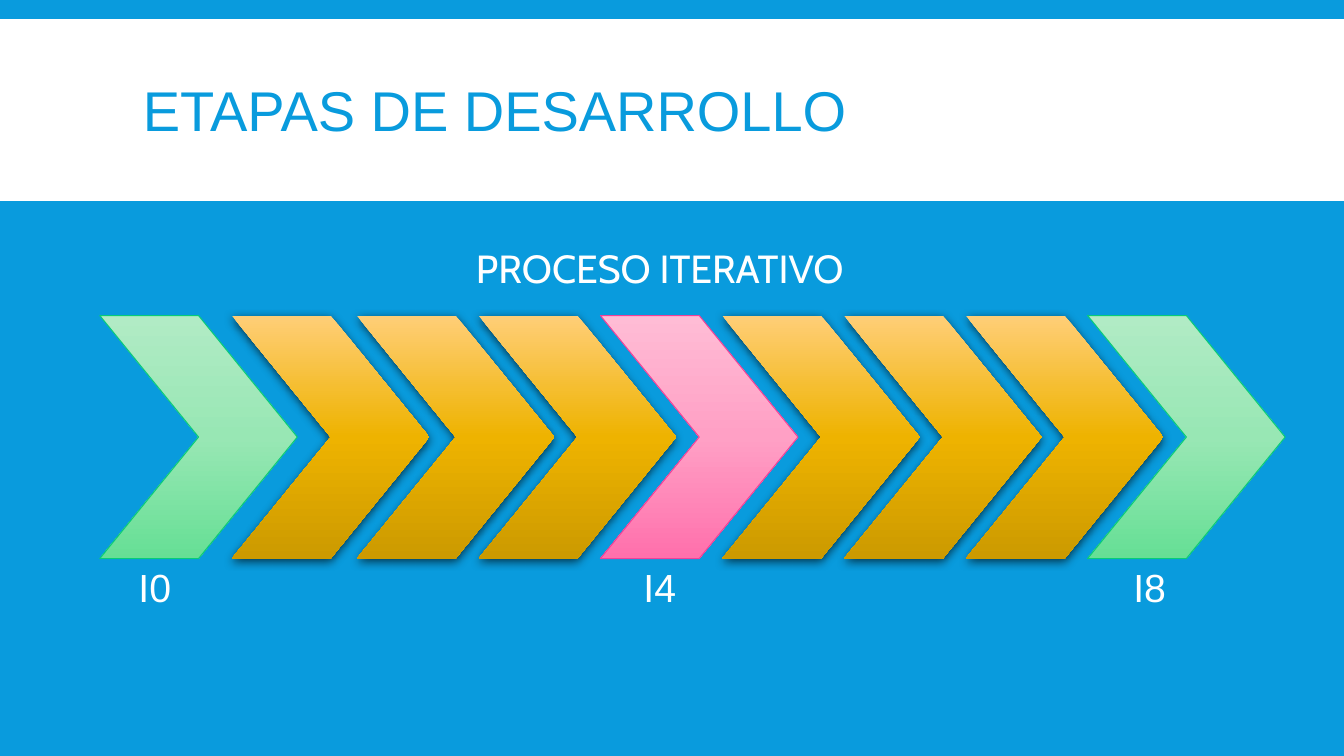
from dataclasses import dataclass

from lxml import etree
from pptx import Presentation
from pptx.dml.color import RGBColor
from pptx.enum import shapes, text
from pptx.oxml import ns
from pptx.util import Pt


@dataclass(frozen=True)
class Theme:
    """Colours, fonts and type sizes of the slide."""
    blue: str = "099BDD"
    white: str = "FFFFFF"
    shadow: str = "000000"
    green: tuple = ("B1EBC5", "98E7B4", "66DF95")
    green_line: str = "08CC78"
    amber: tuple = ("FFCE77", "EEB300", "CC9A00")
    pink: tuple = ("FFBCD5", "FFA0C5", "FF70AC")
    pink_line: str = "F24099"
    sans: str = "Arial"
    display: str = "Cabin"
    title_size: int = 40
    label_size: int = 28


T = Theme()


def add_xml(parent, tag, **attrs):
    """Append a DrawingML element to its parent and return it."""
    el = etree.SubElement(parent, ns.qn(tag))
    for name, value in attrs.items():
        el.set(name, str(value))
    return el


def add_text(s, words, box, *, size=T.label_size, font=T.sans, color=T.white,
             align=text.PP_ALIGN.CENTER, anchor=text.MSO_ANCHOR.TOP, spacing=None):
    """Add one paragraph of text in the given box."""
    tf = s.shapes.add_textbox(*map(Pt, box)).text_frame
    tf.word_wrap = True
    tf.vertical_anchor = anchor
    p = tf.paragraphs[0]
    p.alignment = align
    p.line_spacing = spacing
    r = p.add_run()
    r.text = words
    r.font.size = Pt(size)
    r.font.name = font
    r.font.color.rgb = RGBColor.from_string(color)


def add_chevron(s, box, stops, line=None):
    """Add a vertical gradient chevron, outlined or else shadowed."""
    sp = s.shapes.add_shape(shapes.MSO_SHAPE.CHEVRON, *map(Pt, box))
    sp.shadow.inherit = False
    sp.fill.gradient()
    sp.fill.gradient_angle = 270
    pr = sp._element.spPr
    gs_list = pr.find(".//" + ns.qn("a:gsLst"))
    for gs in list(gs_list):
        gs_list.remove(gs)
    for i, color in enumerate(stops):
        add_xml(add_xml(gs_list, "a:gs", pos=i * 50000), "a:srgbClr", val=color)
    if line:
        sp.line.color.rgb = RGBColor.from_string(line)
        sp.line.width = Pt(0.75)
    else:
        sp.line.fill.background()
        shadow = add_xml(pr.find(ns.qn("a:effectLst")), "a:outerShdw", blurRad=Pt(7),
                         dist=Pt(2.2), dir=5400000, algn="ctr", rotWithShape=0)
        add_xml(add_xml(shadow, "a:srgbClr", val=T.shadow), "a:alpha", val=63000)


def add_header(s, box, title):
    """Add the white title band."""
    x, y, w, h = box
    sp = s.shapes.add_shape(shapes.MSO_SHAPE.RECTANGLE, *map(Pt, box))
    sp.shadow.inherit = False
    sp.fill.solid()
    sp.fill.fore_color.rgb = RGBColor.from_string(T.white)
    sp.line.fill.background()
    add_text(s, title, (x + 95, y + 8.6, w - 189.6, h - 10.8), size=T.title_size,
             color=T.blue, align=text.PP_ALIGN.LEFT,
             anchor=text.MSO_ANCHOR.MIDDLE, spacing=0.85)


def add_process(s, box, heading, labels):
    """Add the iteration chevrons with a heading above and labels below."""
    x, y, w, h = box
    chevron_w, pitch, label_h = 141.1, 87, 41
    row_y, row_h = y + 54.7, h - 54.7 - label_h
    last = x + w - chevron_w
    lefts = [x, x + 94.3] + [last - pitch * i for i in range(6, -1, -1)]
    styles = {0: (T.green, T.green_line), 4: (T.pink, T.pink_line),
              8: (T.green, T.green_line)}
    for i, left in enumerate(lefts):
        add_chevron(s, (left, row_y, chevron_w, row_h), *styles.get(i, (T.amber,)))
    add_text(s, heading, (x + 81.3, y, 637.2, label_h), font=T.display)
    for words, dx in labels:
        add_text(s, words, (x + dx, row_y + row_h, 64.1, label_h))


def main():
    """Build the slide and save it."""
    prs = Presentation()
    prs.slide_width, prs.slide_height = Pt(960), Pt(540)
    s = prs.slides.add_slide(prs.slide_layouts[6])
    s.background.fill.solid()
    s.background.fill.fore_color.rgb = RGBColor.from_string(T.blue)
    add_header(s, (0, 13.7, 960, 129.8), "ETAPAS DE DESARROLLO")
    add_process(s, (71.3, 170.7, 846.7, 269.3), "PROCESO ITERATIVO",
                [("I0", 7.2), ("I4", 367.9), ("I8", 717.8)])
    prs.save("out.pptx")


if __name__ == "__main__":
    main()
